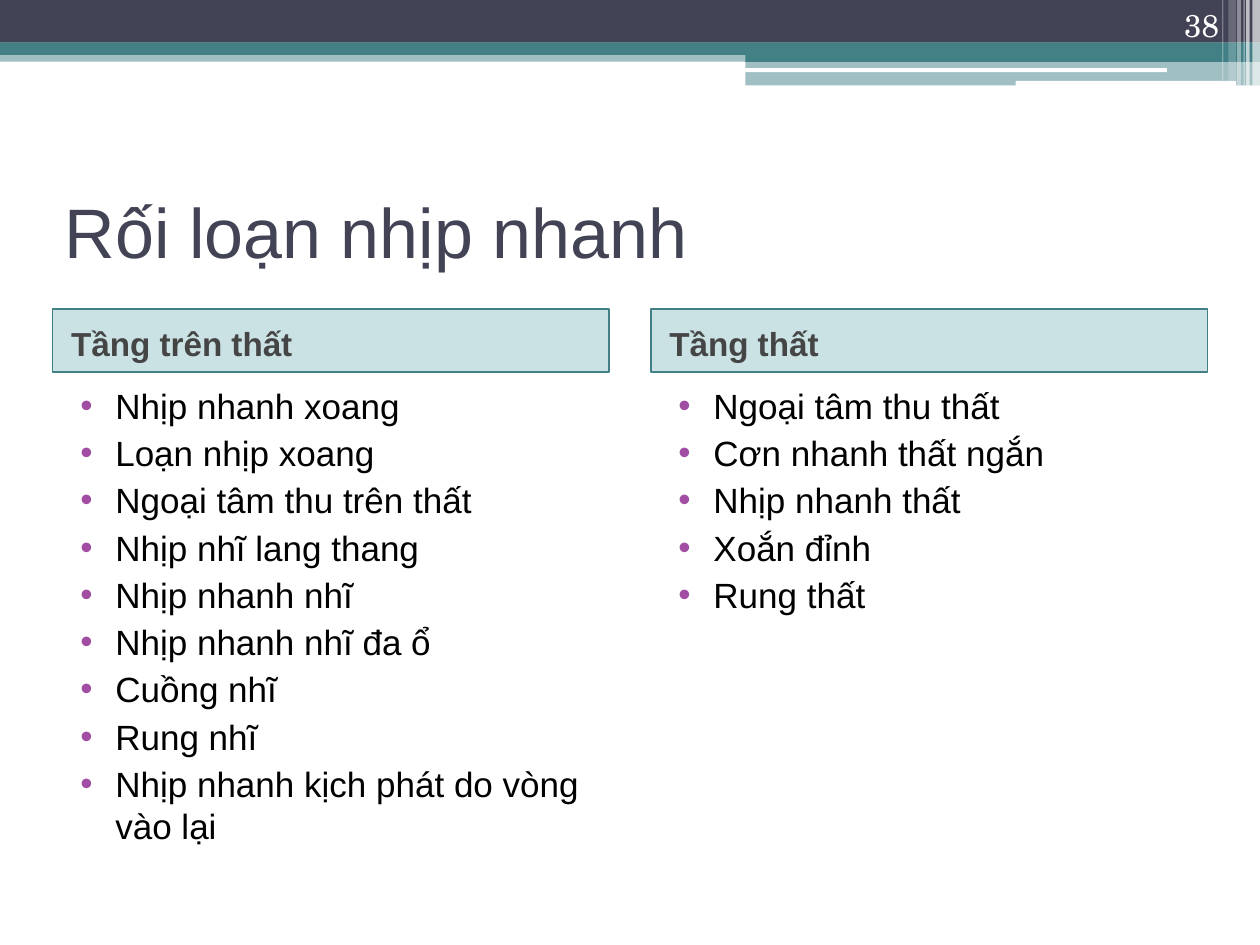
"""Build the slide on fast heart rhythm disorders with its two columns."""
from lxml.etree import SubElement
from pptx import Presentation
from pptx.dml.color import RGBColor
from pptx.enum.shapes import MSO_SHAPE
from pptx.enum.text import MSO_ANCHOR, PP_ALIGN
from pptx.oxml.ns import qn
from pptx.util import Pt

WHITE, NAVY, TEAL = "FFFFFF", "424456", "438086"


def add_block(kind, box, color, opacity=100):
    block = slide.shapes.add_shape(kind, *map(Pt, box))
    block.shadow.inherit = False
    block.line.fill.background()
    block.fill.solid()
    block.fill.fore_color.rgb = RGBColor.from_string(color)
    if opacity < 100:
        color_element = block.fill._xPr.find(".//" + qn("a:srgbClr"))
        SubElement(color_element, qn("a:alpha"), val=str(opacity * 1000))
    return block


def write_text(shape, lines, size, color, anchor=MSO_ANCHOR.TOP, align=PP_ALIGN.LEFT,
               font="Arial", bold=False, bullet_color=None, indent=0, margin_top=3.6):
    frame = shape.text_frame
    frame.word_wrap = True
    frame.vertical_anchor = anchor
    frame.margin_top = Pt(margin_top)
    for index, line in enumerate(lines):
        paragraph = frame.add_paragraph() if index else frame.paragraphs[0]
        paragraph.alignment = align
        if index:
            paragraph.space_before = Pt(3)
        properties = paragraph._p.get_or_add_pPr()
        properties.set("marL", str(Pt(indent)))
        if bullet_color:
            properties.set("indent", str(Pt(-20)))
            bullet = SubElement(properties, qn("a:buClr"))
            SubElement(bullet, qn("a:srgbClr"), val=bullet_color)
            SubElement(properties, qn("a:buFont"), typeface="Arial")
            SubElement(properties, qn("a:buChar"), char="•")
        run = paragraph.add_run()
        run.text = line
        run.font.name = font
        run.font.size = Pt(size)
        run.font.bold = bold
        run.font.color.rgb = RGBColor.from_string(color)


presentation = Presentation()
presentation.slide_width, presentation.slide_height = Pt(720), Pt(540)
slide = presentation.slides.add_slide(presentation.slide_layouts[6])

bands = [
    ((0, 28.8, 720, 6.5), TEAL, 50),
    ((0, 0, 720, 24.4), NAVY, 100),
    ((0, 24.2, 720, 7.2), TEAL, 100),
    ((426, 28.2, 294, 7.2), TEAL, 100),
    ((426, 34.6, 294, 14.2), TEAL, 50),
]
for box, color, opacity in bands:
    add_block(MSO_SHAPE.RECTANGLE, box, color, opacity)

for box in [(425.6, 39, 241.2, 2.2), (580.4, 46.2, 126, 2.8)]:
    add_block(MSO_SHAPE.ROUNDED_RECTANGLE, box, WHITE)

stripes = [
    (715.7, 4.3, 48.9, 65), (712.1, 2.1, 48.9, 65), (710.6, 0.7, 48.9, 60),
    (707, 2.1, 48.9, 40), (702, 4.3, 46.1, 20), (698.4, 0.7, 46.1, 30),
]
for left, width, height, opacity in stripes:
    add_block(MSO_SHAPE.RECTANGLE, (left, 0, width, height), WHITE, opacity)

title = slide.shapes.add_textbox(Pt(30), Pt(90), Pt(660), Pt(84))
write_text(title, ["Rối loạn nhịp nhanh"], 40, NAVY, MSO_ANCHOR.MIDDLE)

columns = [
    (30, "Tầng trên thất", [
        "Nhịp nhanh xoang", "Loạn nhịp xoang", "Ngoại tâm thu trên thất",
        "Nhịp nhĩ lang thang", "Nhịp nhanh nhĩ", "Nhịp nhanh nhĩ đa ổ",
        "Cuồng nhĩ", "Rung nhĩ", "Nhịp nhanh kịch phát do vòng vào lại",
    ]),
    (371.8, "Tầng thất", [
        "Ngoại tâm thu thất", "Cơn nhanh thất ngắn", "Nhịp nhanh thất",
        "Xoắn đỉnh", "Rung thất",
    ]),
]
for left, heading, items in columns:
    header = add_block(MSO_SHAPE.RECTANGLE, (left, 176.8, 318.2, 36), "328E97", 25)
    header.line.color.rgb = RGBColor.from_string(TEAL)
    header.line.width = Pt(1)
    write_text(header, [heading], 19, "454545", MSO_ANCHOR.MIDDLE,
               bold=True, indent=3.6, margin_top=6.6)
    body = slide.shapes.add_textbox(Pt(left), Pt(213), Pt(318.2), Pt(306))
    write_text(body, items, 20, "000000", bullet_color="A04DA3",
               indent=28.8, margin_top=6.6)

number = slide.shapes.add_textbox(Pt(643.7), Pt(0), Pt(60), Pt(28.8))
write_text(number, ["38"], 18, WHITE, MSO_ANCHOR.BOTTOM, PP_ALIGN.RIGHT, "TeX Gyre Schola")

presentation.save("out.pptx")
